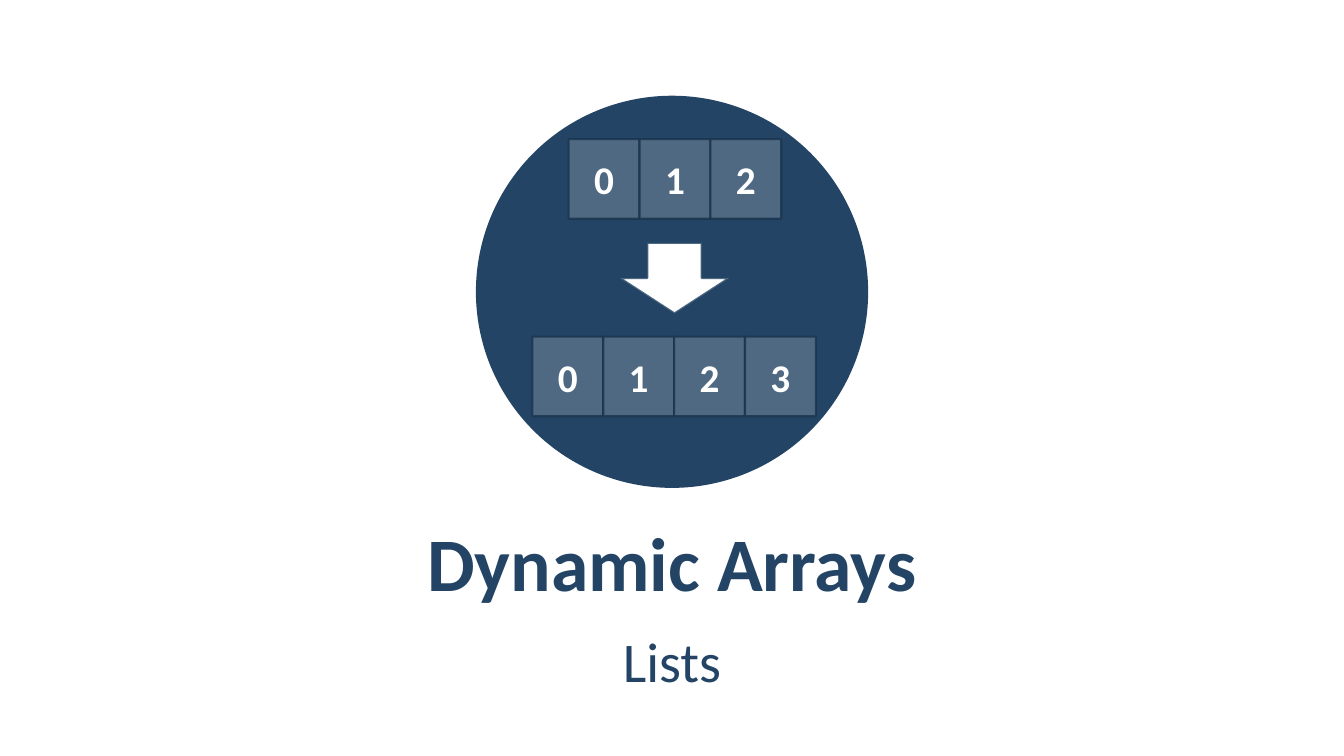
import pptx
import pptx.util
import pptx.dml.color
import pptx.enum.shapes
import pptx.enum.text
import pptx.oxml
import pptx.oxml.ns
from pptx.util import Inches

# Content
TITLE = "Dynamic Arrays"
SUBTITLE = "Lists"
ARRAYS = [  # left, top, values
    (5.64, 1.38, ["0", "1", "2"]),
    (5.28, 3.34, ["0", "1", "2", "3"]),
]
CIRCLE = (4.72, 0.95, 3.89, 3.89)
ARROW = (6.15, 2.41, 1.08, 0.7)
TITLE_BOX = (0.67, 5.15, 11.99, 0.84)
SUBTITLE_BOX = (0.67, 6.11, 11.99, 0.84)
CELL_W, CELL_H = 0.703, 0.79
COLORS = {"navy": "234465", "edge": "1A334C", "white": "FFFFFF"}
FONT = "Calibri"
SHAPES = pptx.enum.shapes.MSO_SHAPE


def rgb(name):
    return pptx.dml.color.RGBColor.from_string(COLORS[name])


def set_alpha(color_format_owner, percent):
    """Add an opacity to each solid colour below the given element."""
    for color in color_format_owner.iter(pptx.oxml.ns.qn("a:srgbClr")):
        alpha = pptx.oxml.parse_xml(
            f'<a:alpha {pptx.oxml.ns.nsdecls("a")} val="{percent * 1000}"/>')
        color.append(alpha)


def add_shape(kind, box, fill, opacity=100, line=None):
    s = slide.shapes.add_shape(kind, *map(Inches, box))
    s.shadow.inherit = False
    s.fill.solid()
    s.fill.fore_color.rgb = rgb(fill)
    props = s.fill._xPr
    if opacity < 100:
        set_alpha(props, opacity)
    if line:
        s.line.color.rgb = rgb(line)
        s.line.width = pptx.util.Pt(1.5)
        set_alpha(props.find(pptx.oxml.ns.qn("a:ln")), 80)
    else:
        s.line.fill.background()
    return s


def write(s, text, size, color, bold):
    tf = s.text_frame
    tf.word_wrap = True
    tf.auto_size = pptx.enum.text.MSO_AUTO_SIZE.NONE
    tf.vertical_anchor = pptx.enum.text.MSO_ANCHOR.MIDDLE
    tf.text = text
    p = tf.paragraphs[0]
    p.alignment = pptx.enum.text.PP_ALIGN.CENTER
    p.font.name = FONT
    p.font.size = pptx.util.Pt(size)
    p.font.bold = bold
    p.font.color.rgb = rgb(color)
    return p


def set_margins(s):
    tf = s.text_frame
    tf.margin_left = tf.margin_right = Inches(0.12)
    tf.margin_top = tf.margin_bottom = Inches(0.04)


prs = pptx.Presentation()
prs.slide_width, prs.slide_height = Inches(13.33), Inches(7.5)
slide = prs.slides.add_slide(prs.slide_layouts[5])

# Title
title = slide.shapes.title
title.left, title.top, title.width, title.height = map(Inches, TITLE_BOX)
write(title, TITLE, 54, "navy", True)
set_margins(title)

# Circle with the array growing from three to four cells
add_shape(SHAPES.OVAL, CIRCLE, "navy")
for left, top, values in ARRAYS:
    for i, value in enumerate(values):
        box = (left + i * CELL_W, top, CELL_W, CELL_H)
        cell = add_shape(SHAPES.RECTANGLE, box, "white", 20, "edge")
        write(cell, value, 28, "white", True)
add_shape(SHAPES.DOWN_ARROW, ARROW, "white", line="navy")

# Subtitle
subtitle = slide.shapes.add_textbox(*map(Inches, SUBTITLE_BOX))
p = write(subtitle, SUBTITLE, 40, "navy", False)
p.line_spacing = 1.05
p.space_before = p.space_after = pptx.util.Pt(6)
set_margins(subtitle)

prs.save("out.pptx")
